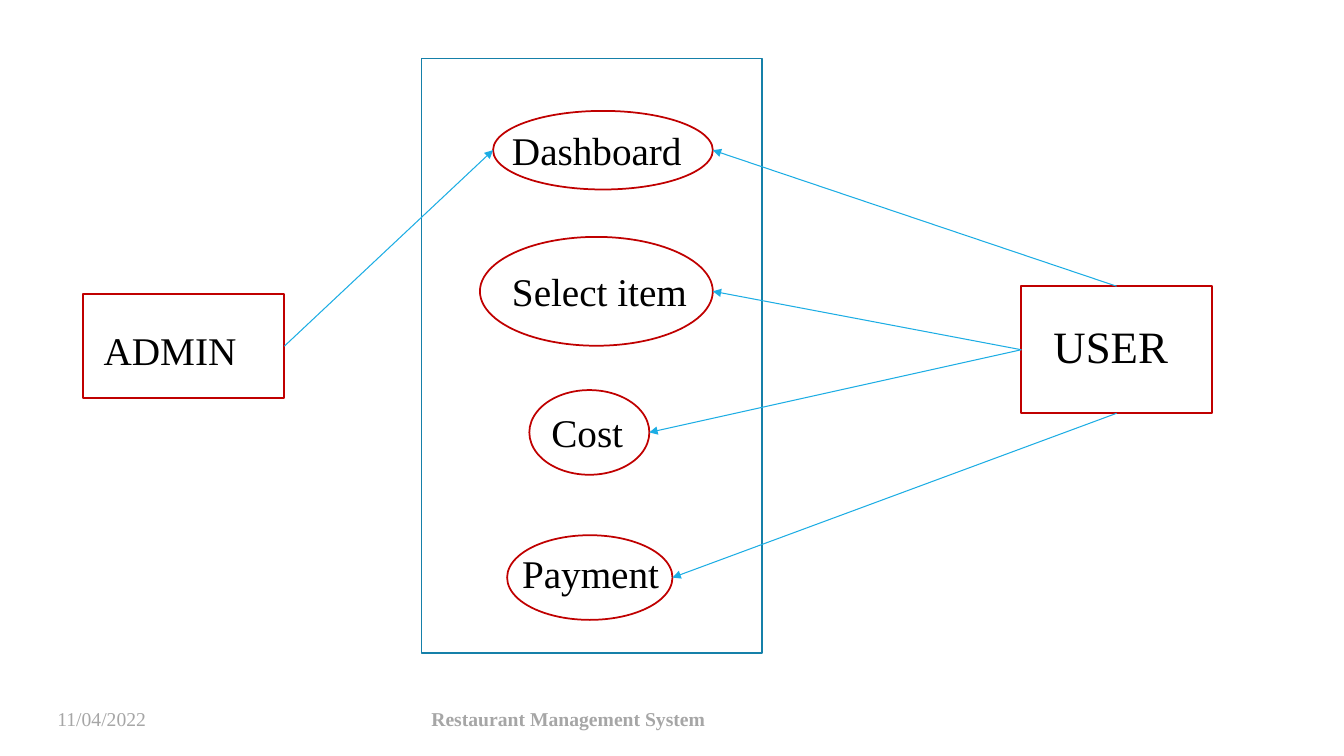
from lxml.etree import SubElement
from pptx import Presentation
from pptx.dml.color import RGBColor
from pptx.enum.shapes import MSO_CONNECTOR as Link, MSO_SHAPE as Shape
from pptx.oxml.ns import qn
from pptx.util import Inches, Pt

RED, BLUE, SKY, GRAY = "C00000", "1580A9", "1CADE4", "A6A6A6"
TOP, LEFT, BOTTOM, RIGHT = range(4)


def color(code):
    return RGBColor.from_string(code)


def outline(slide, kind, box, code):
    shape = slide.shapes.add_shape(kind, *map(Inches, box))
    shape.shadow.inherit = False
    shape.fill.background()
    shape.line.color.rgb = color(code)
    shape.line.width = Pt(1.25)
    return shape


def write(slide, text, box, size=28, code="000000", bold=False):
    frame = slide.shapes.add_textbox(*map(Inches, box)).text_frame
    frame.word_wrap = True
    run = frame.paragraphs[0].add_run()
    run.text = text
    run.font.name = "Times New Roman"
    run.font.size = Pt(size)
    run.font.bold = bold
    run.font.color.rgb = color(code)


def arrow(slide, actor, side, oval, right=True):
    x = oval.left + (oval.width if right else 0)
    y = oval.top + oval.height // 2
    link = slide.shapes.add_connector(Link.STRAIGHT, 0, 0, x, y)
    link.begin_connect(actor, side)
    link.line.color.rgb = color(SKY)
    link.line.width = Pt(0.75)
    SubElement(link.line._get_or_add_ln(), qn("a:tailEnd"), type="triangle")
    SubElement(link._element.spPr, qn("a:effectLst"))


def main():
    deck = Presentation()
    deck.slide_width, deck.slide_height = Inches(13.33), Inches(7.5)
    slide = deck.slides.add_slide(deck.slide_layouts[6])

    user = outline(slide, Shape.RECTANGLE, (10.13, 2.84, 1.89, 1.26), RED)
    write(slide, "USER", (10.35, 3.11, 1.6, 0.64), size=32)
    admin = outline(slide, Shape.RECTANGLE, (0.82, 2.92, 2, 1.03), RED)
    write(slide, "ADMIN", (0.93, 3.19, 1.89, 0.57))
    outline(slide, Shape.RECTANGLE, (4.18, 0.58, 3.38, 5.9), BLUE)

    cases = [
        ("Dashboard", 4.98, (4.89, 1.1, 2.18, 0.78), TOP),
        ("Select item", 4.98, (4.76, 2.35, 2.31, 1.08), LEFT),
        ("Cost", 5.37, (5.25, 3.87, 1.19, 0.84), LEFT),
        ("Payment", 5.08, (5.03, 5.31, 1.64, 0.84), BOTTOM),
    ]
    for row, (name, left, box, side) in enumerate(cases):
        oval = outline(slide, Shape.OVAL, box, RED)
        write(slide, name, (left, 1.2 + 1.4 * row, 2.2, 0.57))
        arrow(slide, user, side, oval)
        if name == "Dashboard":
            arrow(slide, admin, RIGHT, oval, right=False)

    write(slide, "11/04/2022", (0.47, 6.96, 2.18, 0.4), size=14, code=GRAY)
    write(slide, "Restaurant Management System", (4.18, 6.96, 3.88, 0.4),
          size=14, code=GRAY, bold=True)
    deck.save("out.pptx")


if __name__ == "__main__":
    main()
